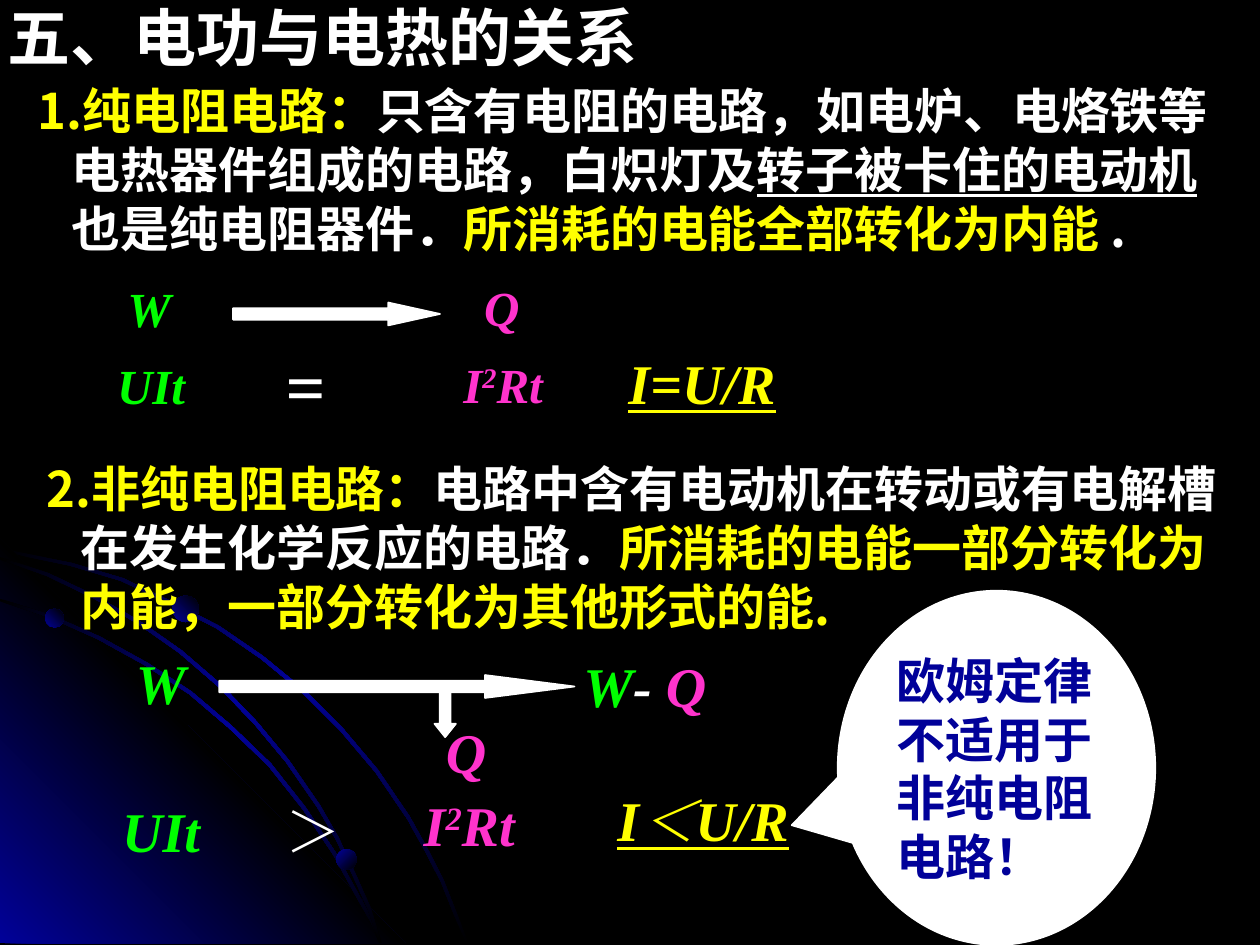
from lxml.etree import SubElement
from pptx import Presentation
from pptx.dml.color import RGBColor
from pptx.enum.shapes import MSO_SHAPE as Shape
from pptx.enum.text import MSO_ANCHOR as Anchor, MSO_AUTO_SIZE as AutoSize, PP_ALIGN as Align
from pptx.oxml.ns import qn
from pptx.util import Cm, Pt

BLACK = RGBColor(0x00, 0x00, 0x00)
WHITE = RGBColor(0xFF, 0xFF, 0xFF)
NAVY = RGBColor(0x01, 0x01, 0x99)
YELLOW = RGBColor(0xFF, 0xFF, 0x00)
GREEN = RGBColor(0x00, 0xFF, 0x00)
PINK = RGBColor(0xFF, 0x33, 0xCC)
SERIF = "Times New Roman"
SANS = "Noto Sans CJK SC"
JOULE_HEAT = [("I", PINK), ("2", PINK, "super"), ("Rt", PINK)]

OUTER_ARC = [(0, 11.05), (0.71, 11.2), (1.45, 11.35), (2.49, 11.66), (3.45, 12.12),
             (4.42, 12.62), (5.31, 13.23), (6.15, 13.92), (6.91, 14.68), (7.62, 15.52),
             (8.26, 16.46), (8.61, 17.09), (8.94, 17.73), (9.19, 18.36), (9.45, 19.02)]
INNER_ARC = [(0, 12.07), (1.04, 12.4), (2.01, 12.83), (2.97, 13.36), (3.86, 13.94),
             (4.67, 14.63), (5.46, 15.39), (6.15, 16.26), (6.76, 17.17), (7.26, 18.08),
             (7.52, 18.54), (7.7, 19.02)]
MIDDLE_ARC = [(0, 11.23), (0.99, 11.56), (1.93, 12.01), (2.82, 12.52), (3.66, 13.11),
              (4.45, 13.79), (5.18, 14.55), (5.82, 15.32), (6.45, 16.23), (6.83, 16.89),
              (7.16, 17.6), (7.47, 18.29), (7.7, 19.02)]


def within(box, left, top, width, height):
    """Return slide lengths for a part placed relative to its region's corner."""
    return Cm(box[0] + left), Cm(box[1] + top), Cm(width), Cm(height)


def write(paragraph, runs, size, font=SERIF, italic=True, align=Align.LEFT,
          before=0, indent=(0, 0)):
    """Fill a paragraph with (text, colour, marks) runs."""
    paragraph.alignment = align
    paragraph.space_before = Pt(before)
    base = paragraph.font
    base.size, base.bold, base.italic, base.name = Pt(size), True, italic, font
    properties = paragraph._p.get_or_add_pPr()
    properties.set("marL", str(Cm(indent[0])))
    properties.set("indent", str(Cm(indent[1])))
    latin = properties.find(qn("a:defRPr")).find(qn("a:latin"))
    east_asian = latin.makeelement(qn("a:ea"), {"typeface": font})
    latin.addnext(east_asian)
    for text, colour, *marks in runs:
        run = paragraph.add_run()
        run.text = text
        style = base if len(runs) == 1 else run.font
        style.color.rgb = colour
        if "underline" in marks:
            style.underline = True
        if "super" in marks:
            run.font._element.set("baseline", "30000")


def add_label(slide, place, runs, size=32, wrap=True, **style):
    """Add a text box with one paragraph and return its frame."""
    frame = slide.shapes.add_textbox(*place).text_frame
    frame.word_wrap = wrap
    write(frame.paragraphs[0], runs, size, **style)
    return frame


def add_solid(slide, kind, place, adjustments):
    """Add a white preset shape with the given adjustments."""
    solid = slide.shapes.add_shape(kind, *place)
    solid.shadow.inherit = False
    solid.fill.solid()
    solid.fill.fore_color.rgb = WHITE
    solid.line.color.rgb = WHITE
    solid.line.width = Pt(1)
    for index, value in enumerate(adjustments):
        solid.adjustments[index] = value
    return solid


def shade(part, colours, angle):
    """Give a part an evenly spaced linear gradient and no outline."""
    part.shadow.inherit = False
    part.line.fill.background()
    part.fill.gradient()
    part.fill.gradient_angle = angle
    stops = part._element.spPr.find(qn("a:gradFill")).find(qn("a:gsLst"))
    for stop in list(stops):
        stops.remove(stop)
    for index, colour in enumerate(colours):
        position = 100000 * index // (len(colours) - 1)
        stop = SubElement(stops, qn("a:gs"), pos=str(position))
        SubElement(stop, qn("a:srgbClr"), val=str(colour))


def add_outline(slide, box, points):
    """Add a closed freeform through points given in the box."""
    start, *rest = [(Cm(box[0] + x), Cm(box[1] + y)) for x, y in points]
    builder = slide.shapes.build_freeform(*start)
    builder.add_line_segments(rest, close=True)
    return builder.convert_to_shape()


def add_arc(slide, box, edge, thickness=0.05):
    """Add a thin glowing ribbon along an edge."""
    inner = [(max(0, x - thickness), min(y + thickness, 19.02)) for x, y in reversed(edge)]
    shade(add_outline(slide, box, edge + inner), (BLACK, NAVY, BLACK), 315)


def draw_backdrop(slide, box):
    """Draw the glowing corner, its arcs and its beads."""
    add_arc(slide, box, OUTER_ARC)
    corner = add_outline(slide, box, [(0, 10.85), (8.18, 19.02), (0, 19.02)])
    shade(corner, (NAVY, BLACK, NAVY), 45)
    for edge in (INNER_ARC, MIDDLE_ARC):
        add_arc(slide, box, edge)
    for left, top, size, angle in ((0.91, 12.27, 0.38, 45), (6.78, 17.12, 0.41, 315),
                                   (3.48, 12.01, 0.53, 45)):
        bead = slide.shapes.add_shape(Shape.OVAL, *within(box, left, top, size, size))
        shade(bead, (NAVY, BLACK), angle)


def set_heading(slide, box):
    """Place and fill the title."""
    title = slide.shapes.title
    title.left, title.top, title.width, title.height = within(box, 0, 0, 14.4, 1.78)
    frame = title.text_frame
    frame.word_wrap, frame.auto_size = True, AutoSize.NONE
    frame.vertical_anchor = Anchor.TOP
    write(frame.paragraphs[0], [("五、电功与电热的关系", WHITE)], 36, SANS, False)


def add_definition(slide, box, runs):
    """Add the numbered definition at the top of a circuit region."""
    add_label(slide, within(box, 0, 0, box[2], 3.81), runs, 28,
              font=SANS, italic=False, indent=(0.69, -0.69))


def draw_pure_circuit(slide, box):
    """Draw the purely resistive circuit: definition, energy flow and formulas."""
    add_definition(slide, box, [
        ("1.纯电阻电路：", YELLOW),
        ("只含有电阻的电路，如电炉、电烙铁等电热器件组成的电路，白炽灯及", WHITE),
        ("转子被卡住的电动机", WHITE, "underline"),
        ("也是纯电阻器件．", WHITE),
        ("所消耗的电能全部转化为内能 ", YELLOW),
        (".", WHITE)])
    heat = add_label(slide, within(box, 8.58, 3.96, 2.54, 3), [("Q", PINK)], 28,
                     indent=(0.42, 0))
    write(heat.add_paragraph(), JOULE_HEAT, 28, before=10.5)
    work = add_label(slide, within(box, 1.6, 3.99, 2.36, 3), [("W", GREEN)], 28,
                     indent=(0.21, 0))
    write(work.add_paragraph(), [("UIt", GREEN)], 28, before=10.5)
    add_solid(slide, Shape.RIGHT_ARROW, within(box, 4.19, 4.6, 4.17, 0.46), (0.5, 2.265))
    add_label(slide, within(box, 5, 5.28, 1.3, 1.96), [("=", WHITE)], 40, wrap=False)
    add_label(slide, within(box, 11.91, 5.41, 3.48, 1.63),
              [("I=U/R", YELLOW, "underline")], wrap=False)


def draw_mixed_circuit(slide, box):
    """Draw the circuit that is not purely resistive."""
    add_definition(slide, box, [
        ("2.非纯电阻电路：", YELLOW),
        ("电路中含有电动机在转动或有电解槽在发生化学反应的电路．", WHITE),
        ("所消耗的电能一部分转化为内能，一部分转化为其他形式的能.", YELLOW)])
    add_solid(slide, Shape.RIGHT_ARROW, within(box, 3.73, 4.49, 7.16, 0.46), (0.5, 3.916))
    add_solid(slide, Shape.DOWN_ARROW, within(box, 8.07, 4.67, 0.43, 1.07), (0.5, 0.624))
    add_label(slide, within(box, 1.8, 3.83, 1.5, 1.63), [("W", GREEN)], wrap=False)
    add_label(slide, within(box, 10.82, 3.88, 4.39, 1.63),
              [("W", GREEN), ("- ", WHITE), ("Q", PINK)])
    for left, top, width, runs in (
            (7.97, 5.21, 1.47, [("Q", PINK)]),
            (1.52, 6.81, 2.08, [("UIt", GREEN)]),
            (7.4, 6.7, 2.74, JOULE_HEAT),
            (11.07, 6.6, 4.83, [("I＜U/R", YELLOW, "underline")])):
        add_label(slide, within(box, left, top, width, 1.63), runs, align=Align.CENTER)
    add_label(slide, within(box, 4.82, 6.81, 1.63, 1.63), [("＞", WHITE)],
              wrap=False, italic=False)


def draw_warning(slide, box):
    """Draw the callout that limits Ohm's law."""
    bubble = add_solid(slide, Shape.OVAL_CALLOUT, within(box, 0, 0, *box[2:]), (-0.645, 0.162))
    frame = bubble.text_frame
    frame.word_wrap = True
    frame.vertical_anchor = Anchor.MIDDLE
    write(frame.paragraphs[0], [("欧姆定律不适用于非纯电阻电路！", NAVY)], 28, SANS, False)


def main():
    """Build and save the slide."""
    deck = Presentation()
    deck.slide_width, deck.slide_height = Cm(25.4), Cm(19.05)
    slide = deck.slides.add_slide(deck.slide_layouts[5])
    slide.background.fill.solid()
    slide.background.fill.fore_color.rgb = BLACK
    draw_backdrop(slide, (0, 0, 25.4, 19.05))
    set_heading(slide, (-0.1, -0.15, 14.4, 1.78))
    draw_pure_circuit(slide, (0.51, 1.5, 24.41, 7.04))
    draw_mixed_circuit(slide, (0.69, 9.12, 24.51, 8.44))
    draw_warning(slide, (16.89, 11.91, 6.4, 7.14))
    deck.save("out.pptx")


if __name__ == "__main__":
    main()
